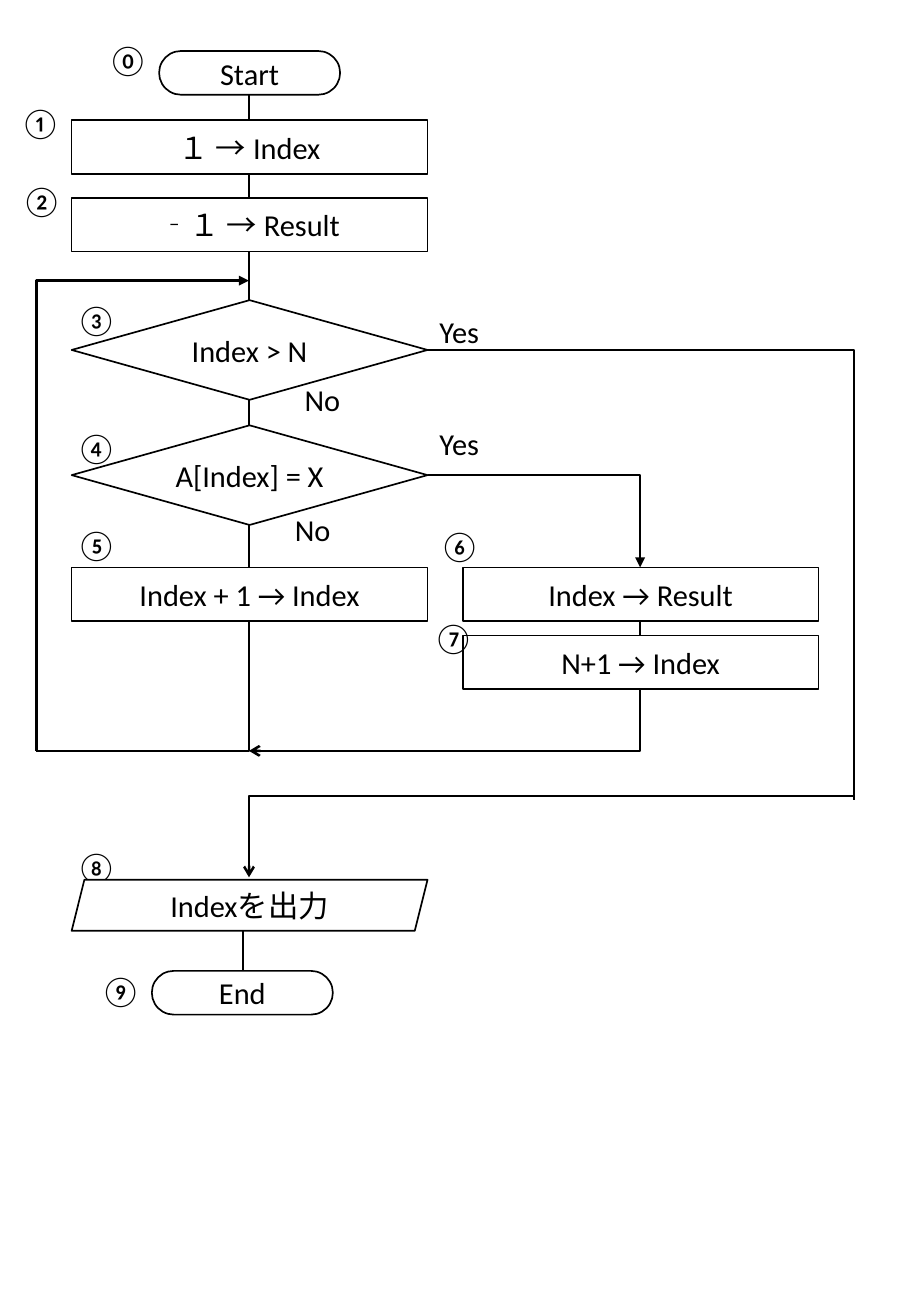
from lxml import etree
from pptx import Presentation
from pptx import util as u
from pptx.dml.color import RGBColor
from pptx.enum import shapes, text
from pptx.oxml.ns import qn

Shape = shapes.MSO_SHAPE
Line = shapes.MSO_CONNECTOR


def color(value):
    """Turn a hex string into a colour."""
    return RGBColor.from_string(value)


def write(tf, content, size=18, font="Calibri", ink="000000", align=None):
    """Put one formatted paragraph into a text frame."""
    tf.word_wrap = True
    p = tf.paragraphs[0]
    p.alignment = align
    r = p.add_run()
    r.text = content
    r.font.size = u.Pt(size)
    r.font.name = font
    r.font.color.rgb = color(ink)


class Flowchart:
    """Draw flowchart elements on one slide in one style."""

    ink, paper = "000000", "FFFFFF"

    def __init__(self, slide):
        """Keep the slide to draw on."""
        self.s = slide

    def node(self, kind, x, y, w, h, content):
        """Add an outlined step with centred text."""
        sp = self.s.shapes.add_shape(kind, *map(u.Inches, (x, y, w, h)))
        sp.shadow.inherit = False
        sp.fill.solid()
        sp.fill.fore_color.rgb = color(self.paper)
        sp.line.color.rgb = color(self.ink)
        sp.line.width = u.Pt(1)
        if kind == Shape.ROUNDED_RECTANGLE:
            sp.adjustments[0] = 0.5
        sp.text_frame.vertical_anchor = text.MSO_ANCHOR.MIDDLE
        write(sp.text_frame, content, ink=self.ink, align=text.PP_ALIGN.CENTER)

    def label(self, x, y, w, content):
        """Add a short text box."""
        sp = self.s.shapes.add_textbox(*map(u.Inches, (x, y, w, 0.4)))
        write(sp.text_frame, content, ink=self.ink)
        sp.text_frame.auto_size = text.MSO_AUTO_SIZE.SHAPE_TO_FIT_TEXT

    def line(self, x1, y1, x2, y2, kind=Line.STRAIGHT, head=None, tail=None):
        """Add a connector; an elbow runs across first, then up or down."""
        c = self.s.shapes.add_connector(kind, *map(u.Inches, (x1, y1, x2, y2)))
        c.line.color.rgb = color(self.ink)
        c.line.width = u.Pt(1.5)
        props = c._element.spPr
        if kind == Line.ELBOW:
            props.find(qn("a:prstGeom")).set("prst", "bentConnector2")
        for tag, arrow in (("a:headEnd", head), ("a:tailEnd", tail)):
            if arrow:
                etree.SubElement(c.line._get_or_add_ln(), qn(tag), type=arrow)
        etree.SubElement(props, qn("a:effectLst"))


def main():
    """Build the linear search flowchart."""
    prs = Presentation()
    prs.slide_width, prs.slide_height = u.Inches(7.5), u.Inches(10.83)
    chart = Flowchart(prs.slides.add_slide(prs.slide_layouts[6]))
    left, right, width = 0.59, 3.81, 2.93
    mid, edge, branch = 2.05, 3.52, 5.27
    loop, bypass, merge = 0.3, 7.03, 6.18

    for x, y, content in ((1.31, 0.42, "Start"), (1.25, 7.99, "End")):
        chart.node(Shape.ROUNDED_RECTANGLE, x, y, 1.49, 0.36, content)
    for x, y, content in (
        (left, 0.99, "１ → Index"),
        (left, 1.63, "‐１ → Result"),
        (left, 4.67, "Index + 1 → Index"),
        (right, 4.67, "Index → Result"),
    ):
        chart.node(Shape.RECTANGLE, x, y, width, 0.44, content)
    for y, content in ((2.47, "Index > N"), (3.5, "A[Index] = X")):
        chart.node(Shape.DIAMOND, left, y, width, 0.82, content)

    for top, bottom in ((0.78, 0.99), (1.43, 1.63), (2.07, 2.47),
                        (3.29, 3.5), (4.32, 4.67)):
        chart.line(mid, top, mid, bottom)
    chart.line(2, 7.66, 2, 7.99)
    for x1, y1, x2, y2, arrows in (
        (mid, 2.31, loop, merge, {"head": "triangle"}),
        (loop, merge, mid, 5.11, {}),
        (edge, 3.91, branch, 4.67, {"tail": "triangle"}),
        (mid, merge, branch, 5.11, {"head": "arrow"}),
        (edge, 2.88, bypass, 6.58, {}),
        (bypass, 6.55, mid, 7.22, {"tail": "arrow"}),
    ):
        chart.line(x1, y1, x2, y2, Line.ELBOW, **arrows)
    chart.node(Shape.RECTANGLE, right, 5.23, width, 0.44, "N+1 → Index")

    for x, y, content in ((edge, 2.53, "Yes"), (2.41, 3.09, "No"),
                          (edge, 3.45, "Yes"), (2.33, 4.16, "No")):
        chart.label(x, y, 0.74, content)
    steps = ((0.79, 0.29), (0.07, 0.81), (0.08, 1.45), (0.53, 2.43), (0.53, 3.48),
             (0.53, 4.28), (3.52, 4.29), (3.47, 5.05), (0.53, 6.93), (0.73, 7.95))
    for (x, y), number in zip(steps, "⓪①②③④⑤⑥⑦⑧⑨"):
        chart.label(x, y, 0.52, number)
    chart.node(Shape.PARALLELOGRAM, left, 7.24, width, 0.42, "Indexを出力")

    prs.save("out.pptx")


if __name__ == "__main__":
    main()
